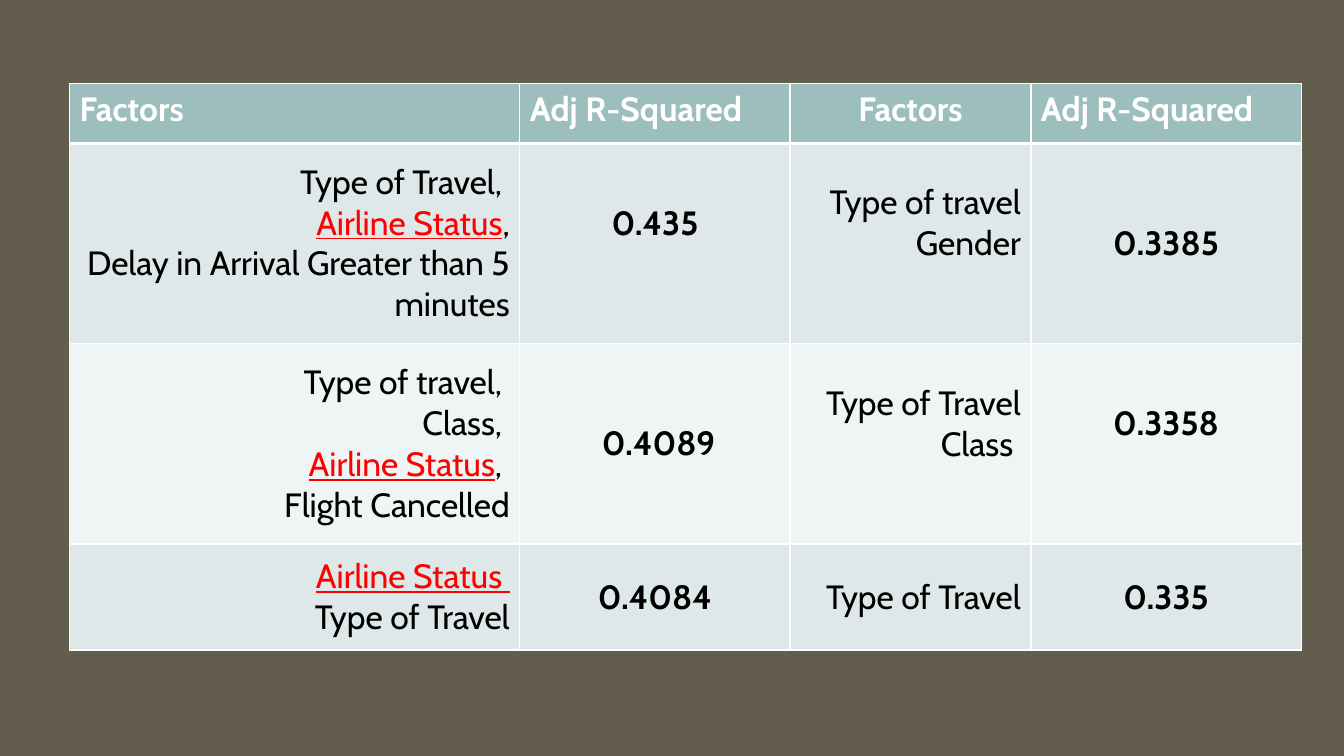
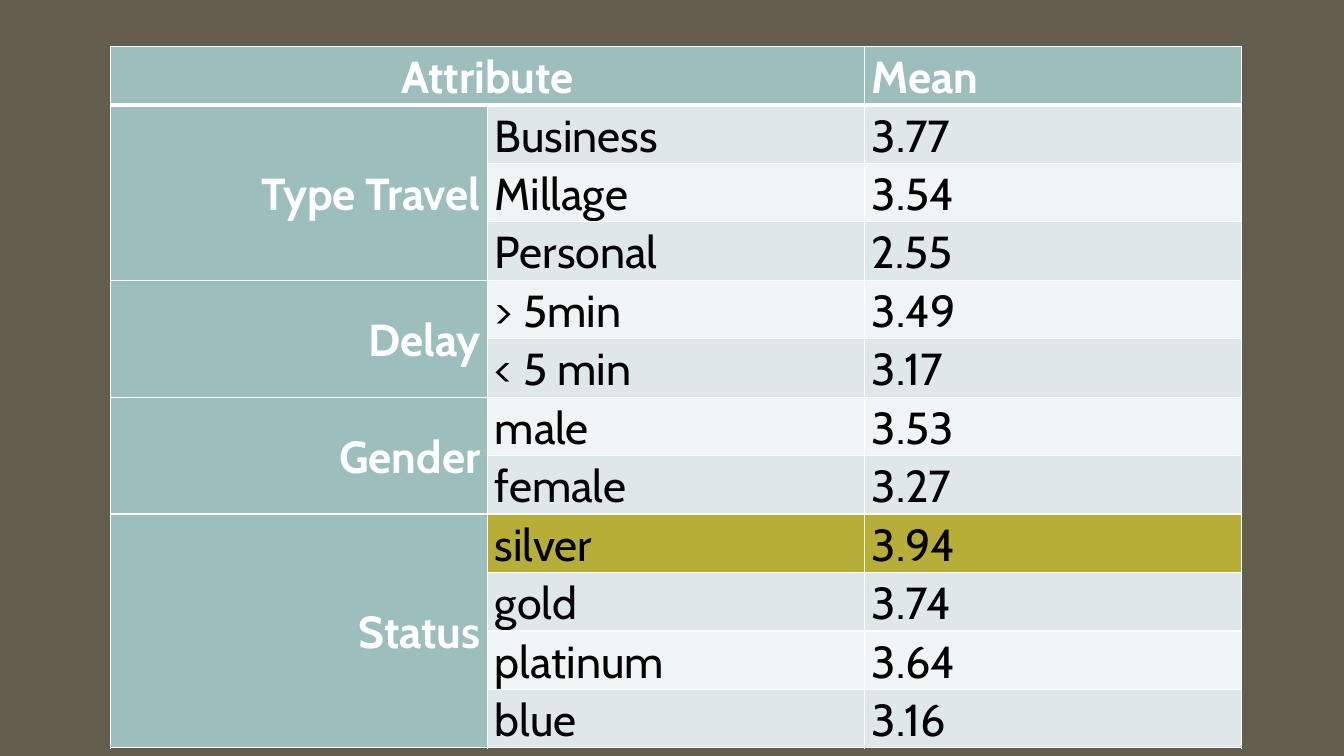
"""Build two slides that tabulate regression fit and mean satisfaction."""
from pptx import Presentation
from pptx.dml.color import RGBColor
from pptx.enum.text import MSO_ANCHOR as Anchor, PP_ALIGN as Align
from pptx.oxml import parse_xml
from pptx.oxml.ns import nsdecls
from pptx.util import Cm, Pt

rgb = RGBColor.from_string
WHITE, BLACK, RED = "FFFFFF", "000000", "FF0000"
HEAD, BANDS, GOLD = "9CBEBD", ("EFF4F4", "DEE8E8"), "B7AE38"
FONT = "Cabin"


def add_grid(left, top, widths, heights, rule, split=None):
    """Add a slide with a white-ruled table, thick below the head and before column split."""
    slide = deck.slides.add_slide(deck.slide_layouts[6])
    grid = slide.shapes.add_table(len(heights), len(widths), Cm(left), Cm(top),
                                  Cm(sum(widths)), Cm(sum(heights))).table
    grid.horz_banding = False
    for col, width in zip(grid.columns, widths):
        col.width = Cm(width)
    for r, height in enumerate(heights):
        grid.rows[r].height = Cm(height)
        for c in range(len(widths)):
            thick = {"L": c == split, "R": c + 1 == split, "T": r == 1, "B": r == 0}
            props = grid.cell(r, c)._tc.get_or_add_tcPr()
            for side, wide in thick.items():
                props.append(parse_xml(
                    f'<a:ln{side} {nsdecls("a")} w="{Pt(rule if wide else 1)}"><a:solidFill>'
                    f'<a:srgbClr val="{WHITE}"/></a:solidFill></a:ln{side}>'))
    return grid


def write(cell, text, fill, size, align=Align.LEFT, bold=False, anchor=Anchor.MIDDLE, space=None):
    """Fill a cell with lines of text, where parts between bars are red and underlined."""
    cell.fill.solid()
    cell.fill.fore_color.rgb = rgb(fill)
    cell.vertical_anchor = anchor
    frame = cell.text_frame
    for n, line in enumerate(text.split("\n")):
        para = frame.add_paragraph() if n else frame.paragraphs[0]
        para.alignment = align
        para.line_spacing = space
        font = para.font
        font.name, font.size, font.bold = FONT, Pt(size), bold
        font.color.rgb = rgb(WHITE if fill == HEAD else BLACK)
        for i, part in enumerate(line.split("|")):
            if part:
                run = para.add_run()
                run.text = part
                if i % 2:
                    run.font.underline = True
                    run.font.color.rgb = rgb(RED)


deck = Presentation()
deck.slide_width, deck.slide_height = Cm(33.87), Cm(19.05)
back = deck.slide_master.background.fill
back.solid()
back.fore_color.rgb = rgb("635D4D")

fits = [
    ("Type of Travel, \n|Airline Status|,\nDelay in Arrival Greater than 5 minutes",
     "0.435", "Type of travel\nGender", "0.3385"),
    ("Type of travel, \nClass, \n|Airline Status|, \nFlight Cancelled",
     " 0.4089", "Type of Travel\nClass ", "0.3358"),
    ("|Airline Status |\nType of Travel", "0.4084", "Type of Travel", "0.335"),
]
grid = add_grid(1.75, 2.11, [11.35, 6.81, 6.07, 6.81], [1.5, 5.05, 5.05, 2.67], 2.25, split=2)
for c, title in enumerate(["Factors", "Adj R-Squared"] * 2):
    write(grid.cell(0, c), title, HEAD, 24, Align.CENTER if c == 2 else Align.LEFT, True, Anchor.TOP)
for r, row in enumerate(fits, 1):
    for c, text in enumerate(row):
        score = c % 2 == 1
        write(grid.cell(r, c), text, BANDS[r % 2], 24, Align.CENTER if score else Align.RIGHT, score)
for r, c in [(1, 1), (1, 2), (2, 2), (2, 3)]:
    grid.cell(r, c).margin_bottom = Cm(1.14)

groups = {
    "Type Travel": [("Business", "3.77"), ("Millage", "3.54"), ("Personal", "2.55")],
    "Delay": [("> 5min", "3.49"), ("< 5 min", "3.17")],
    "Gender": [("male", "3.53"), ("female", "3.27")],
    "Status": [("silver", "3.94"), ("gold", "3.74"), ("platinum", "3.64"), ("blue", "3.16")],
}
count = 1 + sum(map(len, groups.values()))
grid = add_grid(2.79, 1.17, [9.5] * 3, [1.37] * count, 3)
for cell in grid.iter_cells():
    cell.margin_left = cell.margin_right = Cm(0.18)
    cell.margin_top = cell.margin_bottom = 0
grid.cell(0, 0).merge(grid.cell(0, 1))
write(grid.cell(0, 0), "Attribute", HEAD, 32, Align.CENTER, True, space=1.07)
write(grid.cell(0, 2), "Mean", HEAD, 32, bold=True, anchor=Anchor.TOP, space=1.07)
r = 1
for group, means in groups.items():
    first = grid.cell(r, 0)
    first.merge(grid.cell(r + len(means) - 1, 0))
    write(first, group, HEAD, 32, Align.RIGHT, True, space=1.07)
    for pair in means:
        fill = GOLD if pair[0] == "silver" else BANDS[r % 2]
        for c, text in enumerate(pair, 1):
            write(grid.cell(r, c), text, fill, 32, anchor=Anchor.TOP, space=1.07)
        r += 1

deck.save("out.pptx")
